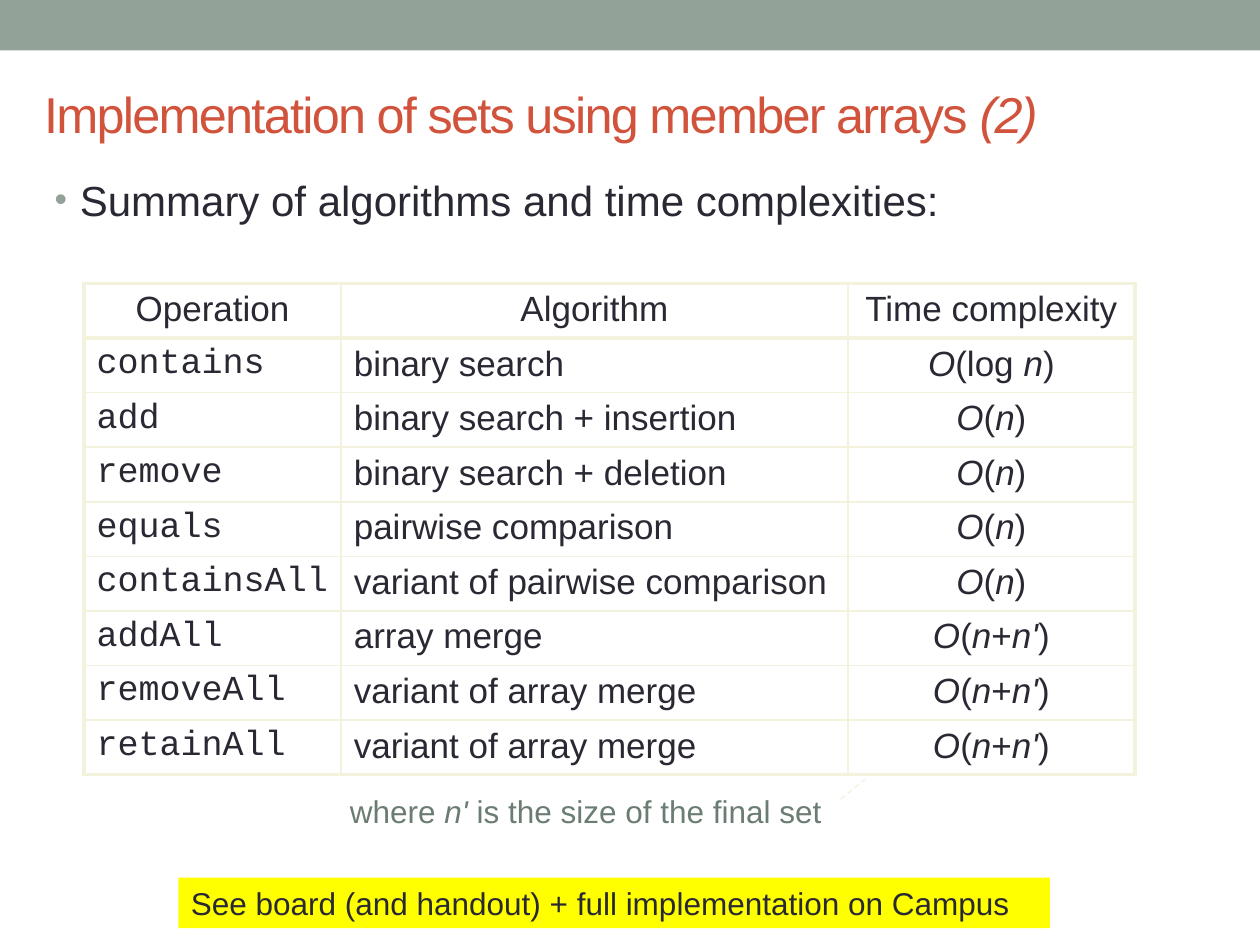
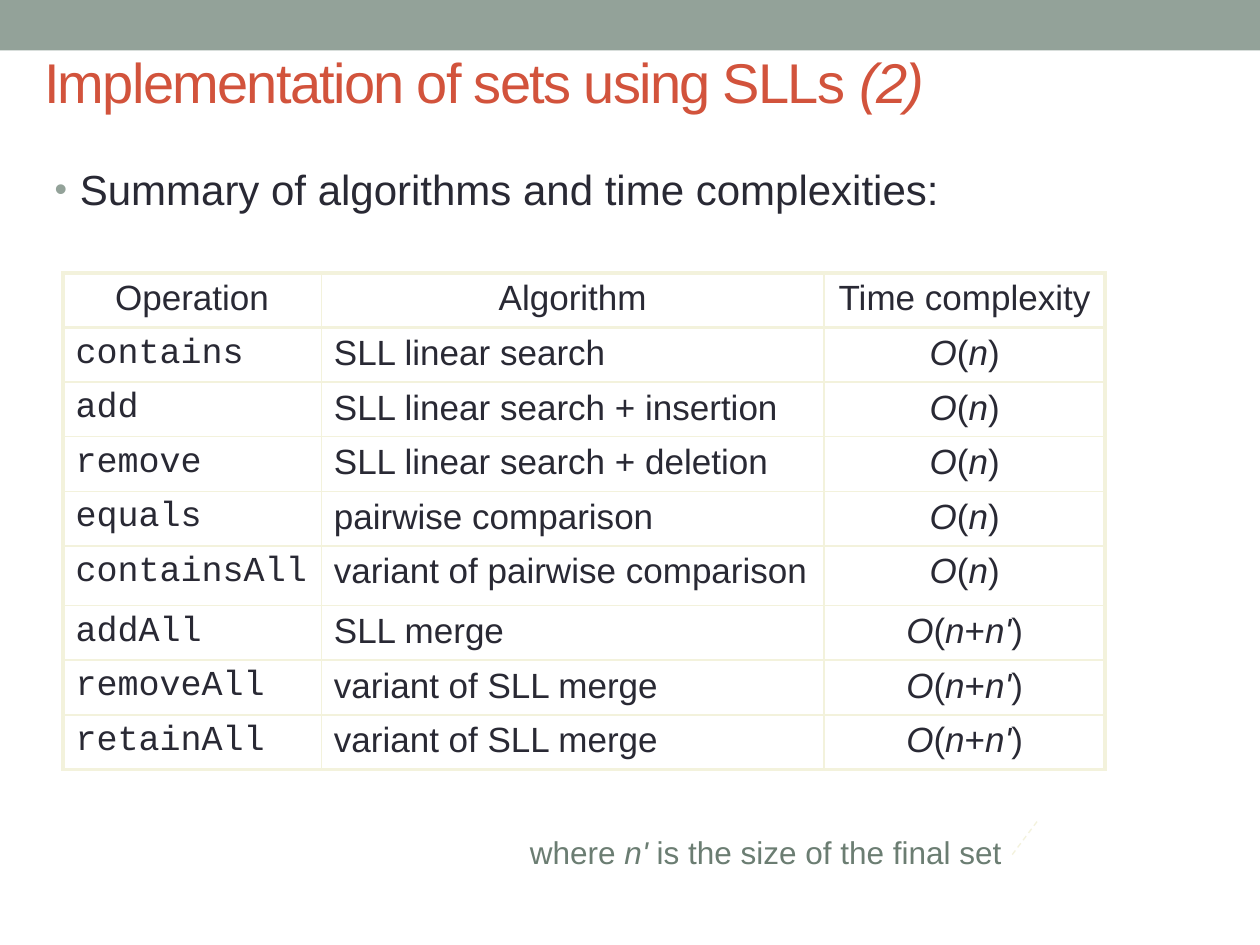
from dataclasses import dataclass

import pptx
import pptx.dml.color
import pptx.enum.dml
import pptx.enum.shapes
import pptx.enum.text
import pptx.oxml
import pptx.oxml.ns
import pptx.presentation
import pptx.shapes.autoshape
import pptx.slide
import pptx.table
import pptx.text.text
import pptx.util

COLORS = {
    "band": "93A299",
    "title": "D2533C",
    "text": "292934",
    "note": "6B7D72",
    "rule": "F3F2DC",
    "paper": "FFFFFF",
    "highlight": "FFFF00",
}
SANS, MONO = "Arial", "Courier New"
WIDTH, HEIGHT = pptx.util.Inches(10), pptx.util.Inches(7.5)
GRID_COLUMNS, GRID_ROWS = 120, 90
ROW_HEIGHT = 5.2
OUTER_RULE, INNER_RULE = 2.25, 1
LEFT = pptx.enum.text.PP_ALIGN.LEFT
CENTER = pptx.enum.text.PP_ALIGN.CENTER
RIGHT = pptx.enum.text.PP_ALIGN.RIGHT
SHAPES = pptx.enum.shapes.MSO_SHAPE
HEADINGS = ("Operation", "Algorithm", "Time complexity")
OPERATIONS = ("contains", "add", "remove", "equals", "containsAll", "addAll", "removeAll", "retainAll")
LINEAR, MERGED = "*O*(*n*)", "*O*(*n*+*n'*)"


@dataclass(frozen=True)
class Area:
    """A rectangle in grid columns and rows."""
    column: float
    row: float
    columns: float
    rows: float

    def emu(self) -> tuple[int, int, int, int]:
        """Return left, top, width and height in EMU."""
        return across(self.column), down(self.row), across(self.columns), down(self.rows)


@dataclass(frozen=True)
class Summary:
    """One slide that sums up the operations of a set."""
    title: str
    title_size: float
    title_row: float
    body_row: float
    table_column: float
    table_row: float
    column_widths: tuple[float, float, float]
    row_heights: tuple[float, ...]
    algorithms: tuple[str, ...]
    complexities: tuple[str, ...]
    remark: Area
    pointer: tuple[float, float, float, float]
    notice: str = ""


def across(columns: float) -> int:
    """Convert grid columns to EMU."""
    return round(WIDTH * columns / GRID_COLUMNS)


def down(rows: float) -> int:
    """Convert grid rows to EMU."""
    return round(HEIGHT * rows / GRID_ROWS)


def color(name: str) -> pptx.dml.color.RGBColor:
    """Look up a named colour."""
    return pptx.dml.color.RGBColor.from_string(COLORS[name])


def write(para: pptx.text.text._Paragraph, text: str, size: float, ink: str = "text",
          face: str = SANS, align: pptx.enum.text.PP_ALIGN = LEFT) -> None:
    """Fill a paragraph, with the parts between asterisks in italics."""
    para.alignment = align
    para.font.name = face
    para.font.size = pptx.util.Pt(size)
    para.font.color.rgb = color(ink)
    for index, part in enumerate(text.split("*")):
        if part:
            span = para.add_run()
            span.text = part
            if index % 2:
                span.font.italic = True


def add_box(page: pptx.slide.Slide, kind: SHAPES, area: Area, fill: str = "") -> pptx.shapes.autoshape.Shape:
    """Add a flat shape without an outline."""
    box = page.shapes.add_shape(kind, *area.emu())
    box.shadow.inherit = False
    box.line.fill.background()
    if fill:
        box.fill.solid()
        box.fill.fore_color.rgb = color(fill)
    else:
        box.fill.background()
    box.text_frame.word_wrap = True
    box.text_frame.vertical_anchor = pptx.enum.text.MSO_ANCHOR.TOP
    return box


def add_xml(parent: pptx.oxml.xmlchemy.BaseOxmlElement, tag: str, **attributes: str) -> pptx.oxml.xmlchemy.BaseOxmlElement:
    """Append a drawing element with its attributes."""
    child = pptx.oxml.xmlchemy.OxmlElement(f"a:{tag}")
    for name, value in attributes.items():
        child.set(name, value)
    parent.append(child)
    return child


def place(box: pptx.shapes.autoshape.Shape, area: Area) -> None:
    """Move a placeholder to an area."""
    box.left, box.top, box.width, box.height = area.emu()


def fill_title(page: pptx.slide.Slide, summary: Summary) -> None:
    """Place and write the title."""
    box = page.shapes.title
    place(box, Area(3, summary.title_row, 107, 9.5))
    box.text_frame.vertical_anchor = pptx.enum.text.MSO_ANCHOR.MIDDLE
    para = box.text_frame.paragraphs[0]
    write(para, summary.title, summary.title_size, "title")
    for span in para.runs:
        span._r.get_or_add_rPr().set("spc", "-100")


def fill_body(page: pptx.slide.Slide, summary: Summary) -> None:
    """Place and write the bulleted lead-in."""
    box = page.placeholders[1]
    place(box, Area(4, summary.body_row, 94.5, 61))
    para = box.text_frame.paragraphs[0]
    properties = para._p.get_or_add_pPr()
    indent = pptx.util.Inches(0.2)
    properties.set("marL", str(indent))
    properties.set("indent", str(-indent))
    add_xml(add_xml(properties, "buClr"), "srgbClr", val=COLORS["band"])
    add_xml(properties, "buSzPct", val="85000")
    add_xml(properties, "buFont", typeface=SANS)
    add_xml(properties, "buChar", char="•")
    write(para, "Summary of algorithms and time complexities:", 24)


def rule_cell(cell: pptx.table._Cell, widths: dict[str, float]) -> None:
    """Draw the borders of a cell and fill it."""
    properties = cell._tc.get_or_add_tcPr()
    for side, width in widths.items():
        line = add_xml(properties, f"ln{side}", w=str(pptx.util.Pt(width)))
        add_xml(add_xml(line, "solidFill"), "srgbClr", val=COLORS["rule"])
    cell.fill.solid()
    cell.fill.fore_color.rgb = color("paper")


def add_summary_table(page: pptx.slide.Slide, summary: Summary) -> None:
    """Add the table of operations, algorithms and complexities."""
    records = [HEADINGS, *zip(OPERATIONS, summary.algorithms, summary.complexities)]
    area = Area(summary.table_column, summary.table_row, sum(summary.column_widths), sum(summary.row_heights))
    table = page.shapes.add_table(len(records), len(HEADINGS), *area.emu()).table
    table.first_row = table.horz_banding = False
    for column, width in zip(table.columns, summary.column_widths):
        column.width = across(width)
    for row, height in zip(table.rows, summary.row_heights):
        row.height = down(height)
    last_row, last_column = len(records) - 1, len(HEADINGS) - 1
    for y, record in enumerate(records):
        for x, text in enumerate(record):
            heavy = {"L": x == 0, "R": x == last_column, "T": y < 2, "B": y in (0, last_row)}
            cell = table.cell(y, x)
            rule_cell(cell, {side: OUTER_RULE if thick else INNER_RULE for side, thick in heavy.items()})
            face = MONO if y and x == 0 else SANS
            align = CENTER if y == 0 or x == last_column else LEFT
            write(cell.text_frame.paragraphs[0], text, 20, face=face, align=align)


def add_remark(page: pptx.slide.Slide, summary: Summary) -> None:
    """Add the remark with its dashed pointer to the table."""
    box = add_box(page, SHAPES.LINE_CALLOUT_1_NO_BORDER, summary.remark)
    for index, value in enumerate(summary.pointer):
        box.adjustments[index] = value
    box.line.color.rgb = color("rule")
    box.line.width = pptx.util.Pt(0.75)
    box.line.dash_style = pptx.enum.dml.MSO_LINE.DASH
    frame = box.text_frame
    frame.margin_left = frame.margin_top = frame.margin_right = frame.margin_bottom = 0
    para = frame.paragraphs[0]
    para.line_spacing = pptx.util.Pt(18)
    write(para, "where *n'* is the size of the final set", 18, "note", align=RIGHT)


def add_notice(page: pptx.slide.Slide, text: str) -> None:
    """Add the highlighted notice at the foot."""
    box = add_box(page, SHAPES.RECTANGLE, Area(17, 83.6, 83, 4.8), "highlight")
    box.text_frame.auto_size = pptx.enum.text.MSO_AUTO_SIZE.SHAPE_TO_FIT_TEXT
    write(box.text_frame.paragraphs[0], text, 18)


def add_summary(deck: pptx.presentation.Presentation, summary: Summary) -> pptx.slide.Slide:
    """Add one whole summary slide."""
    page = deck.slides.add_slide(deck.slide_layouts[1])
    fill_title(page, summary)
    fill_body(page, summary)
    add_summary_table(page, summary)
    add_remark(page, summary)
    if summary.notice:
        add_notice(page, summary.notice)
    return page


SUMMARIES = (
    Summary(
        title="Implementation of sets using member arrays *(2)*",
        title_size=28.8, title_row=6, body_row=16, table_column=8, table_row=27,
        column_widths=(24.5, 48.25, 27.35),
        row_heights=(ROW_HEIGHT,) * 9,
        algorithms=("binary search", "binary search + insertion", "binary search + deletion",
                    "pairwise comparison", "variant of pairwise comparison", "array merge",
                    "variant of array merge", "variant of array merge"),
        complexities=("*O*(log *n*)", *(LINEAR,) * 4, *(MERGED,) * 3),
        remark=Area(17.25, 76, 61, 3.75), pointer=(0.03, 1.03, -0.5, 1.07),
        notice="See board (and handout) + full implementation on Campus",
    ),
    Summary(
        title="Implementation of sets using SLLs *(2)*",
        title_size=32, title_row=3, body_row=15, table_column=6, table_row=26,
        column_widths=(24.6, 47.9, 26.75),
        row_heights=(*(ROW_HEIGHT,) * 5, 5.7, *(ROW_HEIGHT,) * 3),
        algorithms=("SLL linear search", "SLL linear search + insertion", "SLL linear search + deletion",
                    "pairwise comparison", "variant of pairwise comparison", "SLL merge",
                    "variant of SLL merge", "variant of SLL merge"),
        complexities=(*(LINEAR,) * 5, *(MERGED,) * 3),
        remark=Area(44.9, 79.9, 50.5, 3.75), pointer=(0.4, 1.02, -0.5, 1.07),
    ),
)


def main() -> None:
    """Build and save the deck."""
    deck = pptx.Presentation()
    deck.slide_width, deck.slide_height = WIDTH, HEIGHT
    pages = [add_summary(deck, summary) for summary in SUMMARIES]
    band = add_box(pages[0], SHAPES.RECTANGLE, Area(0, 0, GRID_COLUMNS, 4.8), "band")
    deck.slide_master.shapes._spTree.append(band._element)
    deck.save("out.pptx")


if __name__ == "__main__":
    main()
